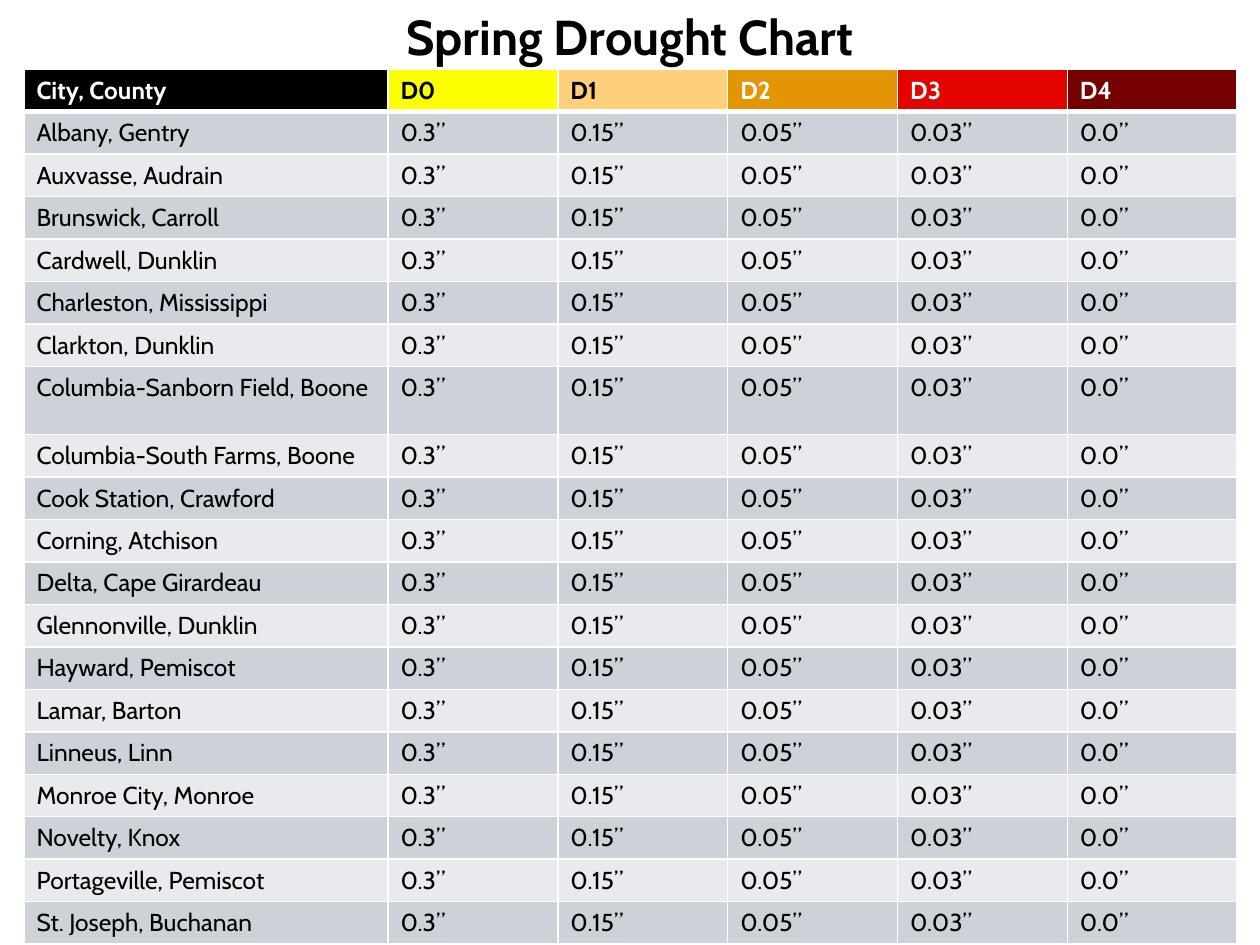
import pptx
import pptx.util
import pptx.dml.color
import pptx.enum.text
import pptx.oxml.ns
from lxml import etree

Inches, Pt = pptx.util.Inches, pptx.util.Pt
RGBColor = pptx.dml.color.RGBColor

BLACK = RGBColor(0x00, 0x00, 0x00)
WHITE = RGBColor(0xFF, 0xFF, 0xFF)
BANDS = (RGBColor(0xCC, 0xD2, 0xD8), RGBColor(0xE8, 0xEA, 0xED))

# Heading, fill, text colour, value in every row below
LEVELS = [
    ("D0", RGBColor(0xFC, 0xFF, 0x00), BLACK, "0.3”"),
    ("D1", RGBColor(0xFF, 0xD0, 0x7B), BLACK, "0.15”"),
    ("D2", RGBColor(0xE4, 0x95, 0x05), WHITE, "0.05”"),
    ("D3", RGBColor(0xE3, 0x04, 0x00), WHITE, "0.03”"),
    ("D4", RGBColor(0x76, 0x00, 0x00), WHITE, "0.0”"),
]
HEADER = [("City, County", BLACK, WHITE)] + [level[:3] for level in LEVELS]
VALUES = [level[3] for level in LEVELS]
CITIES = [
    "Albany, Gentry", "Auxvasse, Audrain", "Brunswick, Carroll",
    "Cardwell, Dunklin", "Charleston, Mississippi", "Clarkton, Dunklin",
    "Columbia-Sanborn Field, Boone", "Columbia-South Farms, Boone",
    "Cook Station, Crawford", "Corning, Atchison", "Delta, Cape Girardeau",
    "Glennonville, Dunklin", "Hayward, Pemiscot", "Lamar, Barton",
    "Linneus, Linn", "Monroe City, Monroe", "Novelty, Knox",
    "Portageville, Pemiscot", "St. Joseph, Buchanan",
]
TALL_ROW = 1 + CITIES.index("Columbia-Sanborn Field, Boone")
TALL_HEIGHT = 0.54
CITY_SHARE = 0.3  # of the table's width


def set_font(font, color, **values):
    for name, value in {"name": "Cabin", "size": Pt(14), **values}.items():
        setattr(font, name, value)
    font.color.rgb = color


def set_borders(cell, **widths):
    """Draw white borders; widths are points keyed by side (L, R, T, B)."""
    tcPr = cell._tc.get_or_add_tcPr()
    for side, width in widths.items():
        ln = etree.SubElement(tcPr, pptx.oxml.ns.qn(f"a:ln{side}"), w=str(Pt(width)))
        fill = etree.SubElement(ln, pptx.oxml.ns.qn("a:solidFill"))
        etree.SubElement(fill, pptx.oxml.ns.qn("a:srgbClr"), val=str(WHITE))


def fill_cell(cell, text, fill, color, bold, top, bottom):
    set_borders(cell, L=1, R=1, T=top, B=bottom)
    cell.fill.solid()
    cell.fill.fore_color.rgb = fill
    p = cell.text_frame.paragraphs[0]
    r = p.add_run()
    r.text = text
    set_font(r.font, color, bold=bold)


def add_title(s, left, top, width, height):
    sp = s.shapes.title
    box = {"left": left, "top": top, "width": width, "height": height}
    for name, value in box.items():
        setattr(sp, name, Inches(value))
    tf = sp.text_frame
    tf.word_wrap = False
    tf.auto_size = pptx.enum.text.MSO_AUTO_SIZE.NONE
    tf.vertical_anchor = pptx.enum.text.MSO_ANCHOR.TOP
    p = tf.paragraphs[0]
    p.alignment = pptx.enum.text.PP_ALIGN.CENTER
    r = p.add_run()
    r.text = "Spring Drought Chart"
    set_font(r.font, BLACK, size=Pt(28), bold=True)


def add_drought_table(s, left, top, width, height):
    rows, cols = len(CITIES) + 1, len(HEADER)
    frame = s.shapes.add_table(rows, cols, Inches(left), Inches(top),
                               Inches(width), Inches(height))
    table = frame.table
    for i, column in enumerate(table.columns):
        share = (1 - CITY_SHARE) / len(LEVELS) if i else CITY_SHARE
        column.width = Inches(width * share)
    for i, row in enumerate(table.rows):
        regular = (height - TALL_HEIGHT) / (rows - 1)
        row.height = Inches(TALL_HEIGHT if i == TALL_ROW else regular)

    for i, (text, fill, color) in enumerate(HEADER):
        fill_cell(table.cell(0, i), text, fill, color, True, 1, 3)
    for i, city in enumerate(CITIES):
        for j, text in enumerate([city] + VALUES):
            fill_cell(table.cell(i + 1, j), text, BANDS[i % 2], BLACK, False,
                      1 if i else 3, 1)


def main():
    prs = pptx.Presentation()
    prs.slide_width, prs.slide_height = Inches(10), Inches(7.5)
    s = prs.slides.add_slide(prs.slide_layouts[5])
    add_title(s, 3.02, 0, 3.96, 0.57)
    add_drought_table(s, 0.19, 0.55, 9.63, 6.88)
    prs.save("out.pptx")


if __name__ == "__main__":
    main()
